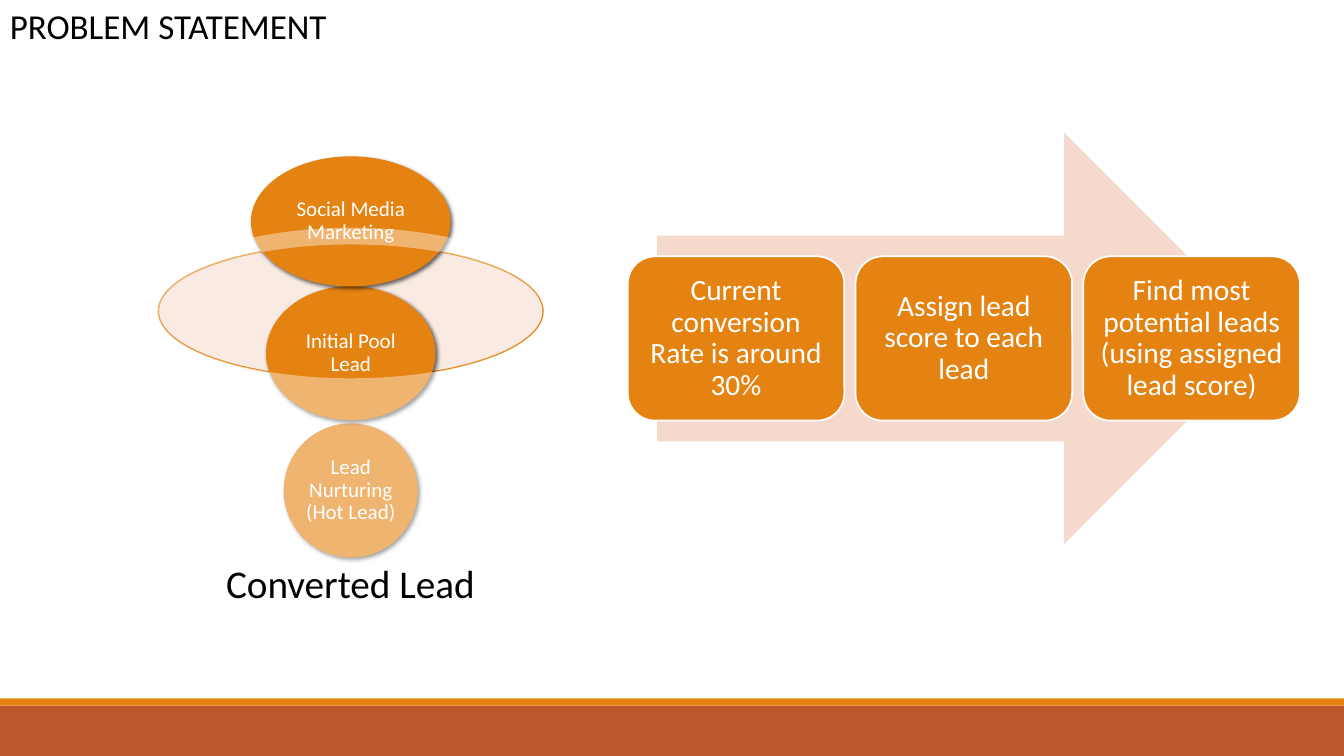
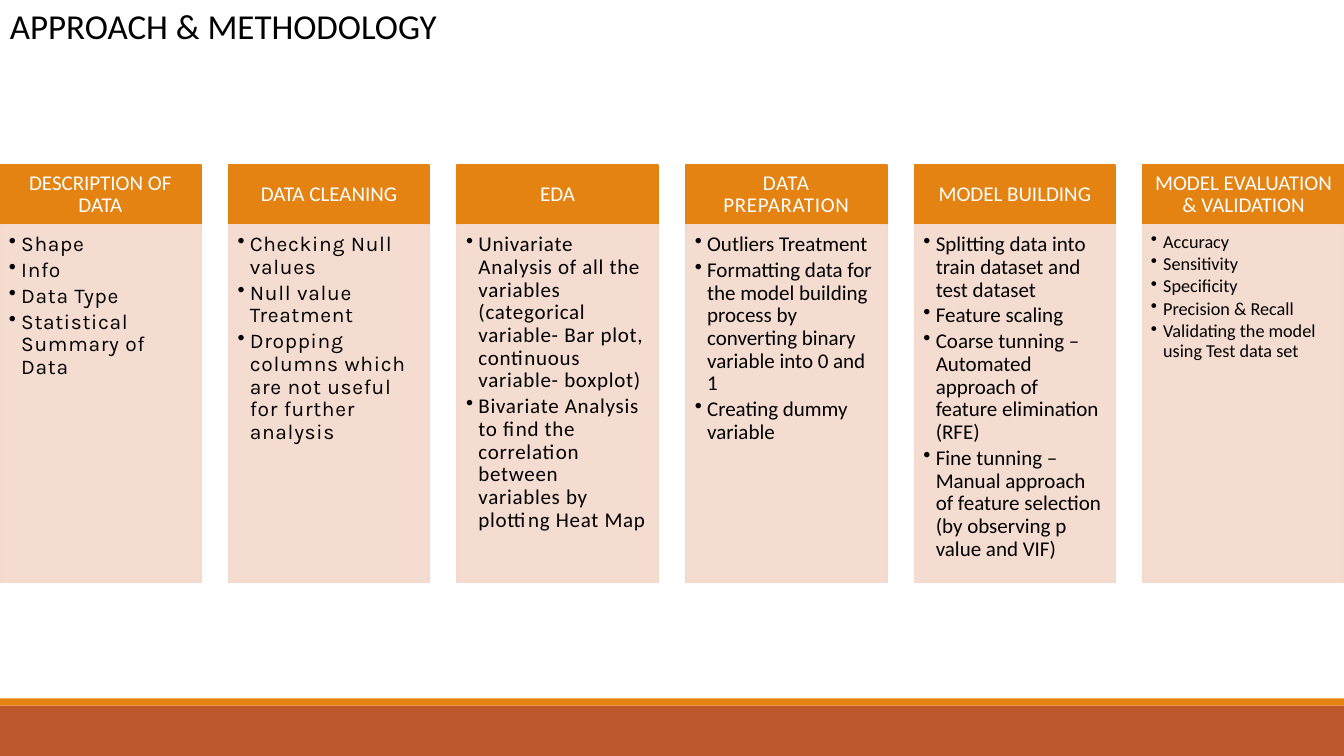
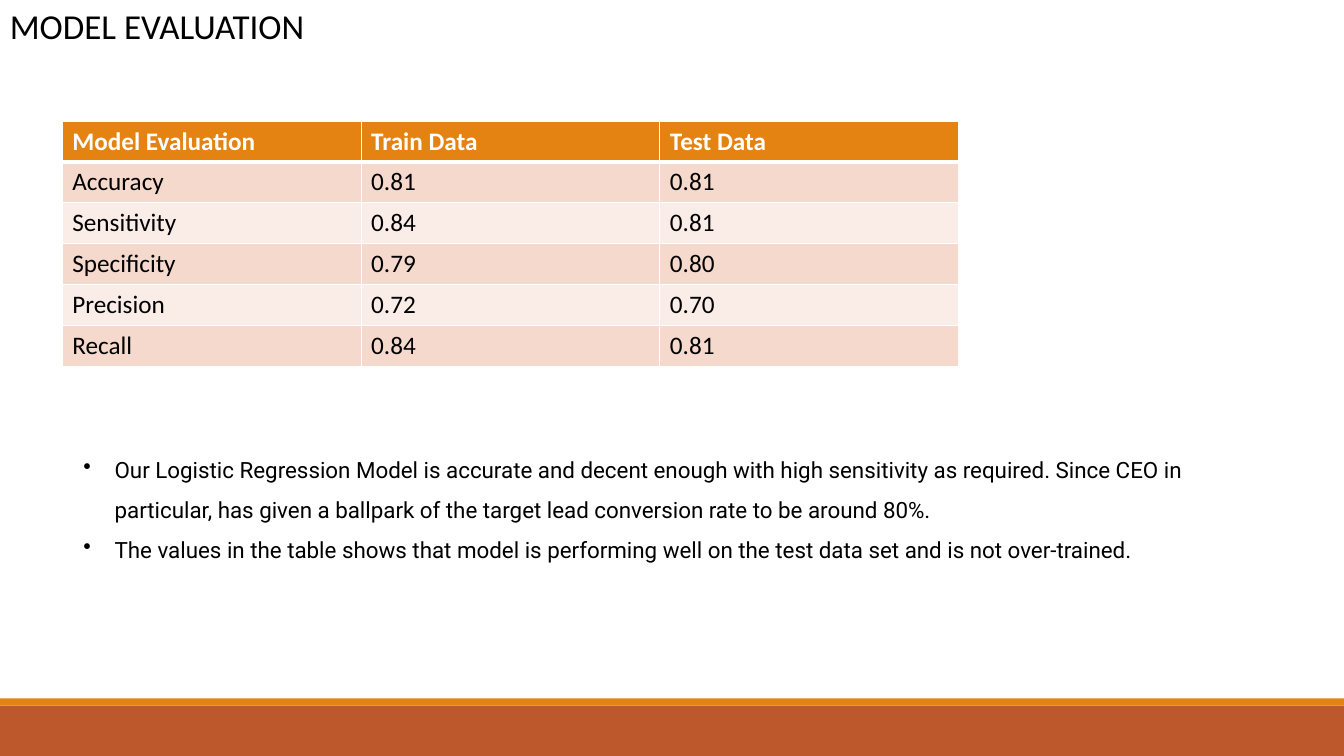
from lxml import etree
from pptx import Presentation
from pptx.dml.color import RGBColor
from pptx.enum import shapes, text
from pptx.oxml.ns import qn
from pptx.util import Cm, Pt

ORANGE = RGBColor(0xE4, 0x83, 0x12)
RUST = RGBColor(0xBD, 0x58, 0x2C)
SALMON = RGBColor(0xF2, 0xCD, 0xBD)
PEACH = RGBColor(0xF5, 0xD9, 0xCC)
PALE_PEACH = RGBColor(0xFA, 0xED, 0xE7)
WHITE = RGBColor(0xFF, 0xFF, 0xFF)
BLACK = RGBColor(0, 0, 0)

KIND = shapes.MSO_SHAPE
CENTER = text.PP_ALIGN.CENTER
MIDDLE = text.MSO_ANCHOR.MIDDLE
TOP = text.MSO_ANCHOR.TOP

PAGE_WIDTH = 33.87
PAGE_HEIGHT = 19.05


def add_block(page, kind, place, fill, line=None, line_width=1.25, opacity=100, shadow=False):
    """Add a preset shape; place is left, top, width, height in centimetres."""
    block = page.shapes.add_shape(kind, *map(Cm, place))
    block.fill.solid()
    block.fill.fore_color.rgb = fill
    block.shadow.inherit = False
    properties = block.element.spPr
    if opacity < 100:
        color = properties.find(qn("a:solidFill")).find(qn("a:srgbClr"))
        etree.SubElement(color, qn("a:alpha"), val=str(opacity * 1000))
    if shadow:
        outer = etree.SubElement(properties.find(qn("a:effectLst")), qn("a:outerShdw"),
                                 blurRad=str(Pt(3)), dist=str(Pt(2)), dir="2700000")
        color = etree.SubElement(outer, qn("a:srgbClr"), val=str(BLACK))
        etree.SubElement(color, qn("a:alpha"), val="60000")
    if line is None:
        block.line.fill.background()
    else:
        block.line.color.rgb = line
        block.line.width = Pt(line_width)
    return block


def write(frame, lines, font, color=BLACK, margins=None, layout=None, anchor=TOP,
          indent=0, tracking=0):
    """Fill a text frame, one paragraph a line; an indent in centimetres adds bullets."""
    frame.word_wrap = True
    frame.vertical_anchor = anchor
    if margins:
        for side, margin in zip(("left", "top", "right", "bottom"), margins):
            setattr(frame, f"margin_{side}", Cm(margin))
    for number, line in enumerate(lines):
        para = frame.add_paragraph() if number else frame.paragraphs[0]
        for name, value in (layout or {}).items():
            setattr(para, name, value)
        if indent:
            settings = para._p.get_or_add_pPr()
            settings.set("marL", str(Cm(indent)))
            settings.set("indent", str(-Cm(indent)))
            etree.SubElement(settings, qn("a:buChar"), char="•")
        span = para.add_run()
        span.text = line
        for name, value in font.items():
            setattr(span.font, name, value)
        span.font.color.rgb = color
        if tracking:
            span._r.get_or_add_rPr().set("spc", str(round(tracking * 100)))


deck = Presentation()
deck.slide_width = Cm(PAGE_WIDTH)
deck.slide_height = Cm(PAGE_HEIGHT)

# Title and footer bands on every slide
pages = []
for title, width in (("PROBLEM STATEMENT", 8.59),
                     ("APPROACH & METHODOLOGY", 11.38),
                     ("MODEL EVALUATION", 8)):
    page = deck.slides.add_slide(deck.slide_layouts[6])
    add_block(page, KIND.RECTANGLE, (0, 17.78, PAGE_WIDTH, 1.27), RUST)
    add_block(page, KIND.RECTANGLE, (0, 17.6, PAGE_WIDTH, 0.18), ORANGE)
    box = page.shapes.add_textbox(0, 0, Cm(width), Cm(1.32))
    write(box.text_frame, [title], {"size": Pt(25), "name": "Calibri"})
    box.text_frame.word_wrap = False
    box.text_frame.auto_size = text.MSO_AUTO_SIZE.SHAPE_TO_FIT_TEXT
    pages.append(page)
problem_page, approach_page, evaluation_page = pages

# Problem statement: lead funnel
centered = {"alignment": CENTER, "line_spacing": 0.9}
add_block(problem_page, KIND.OVAL, (3.99, 6.15, 9.7, 3.38), SALMON, ORANGE, 1, opacity=40)

box = problem_page.shapes.add_textbox(Cm(4.32), Cm(13.64), Cm(9.02), Cm(2.26))
write(box.text_frame, ["Converted Lead"], {"size": Pt(28), "name": "Calibri"},
      margins=[0.56] * 4, layout=centered, anchor=MIDDLE)

funnel_middle = 8.84
for label, top, width, height in (("Lead Nurturing (Hot Lead)", 10.67, 3.38, 3.38),
                                  ("Initial Pool Lead", 7.21, 4.27, 3.38),
                                  ("Social Media Marketing", 3.94, 5.03, 3.28)):
    stage = add_block(problem_page, KIND.OVAL, (funnel_middle - width / 2, top, width, height),
                      ORANGE, shadow=True)
    write(stage.text_frame, [label], {"size": Pt(15), "name": "Calibri"}, WHITE,
          margins=[0.05] * 4, layout=centered, anchor=MIDDLE)
add_block(problem_page, KIND.FUNNEL, (3.58, 5.74, 10.54, 8.43), WHITE, opacity=40)

# Problem statement: steps on an arrow
add_block(problem_page, KIND.RIGHT_ARROW, (16.56, 3.35, 15.44, 10.36), PEACH)
for number, step in enumerate(("Current conversion Rate is around 30%",
                               "Assign lead score to each lead",
                               "Find most potential leads (using assigned lead score)")):
    card = add_block(problem_page, KIND.ROUNDED_RECTANGLE,
                     (15.82 + number * 5.74, 6.46, 5.46, 4.14), ORANGE, WHITE)
    write(card.text_frame, [step], {"size": Pt(21), "name": "Calibri"}, WHITE,
          margins=[0.22] * 4, layout=centered, anchor=MIDDLE)

# Approach: heading, heading tracking, face, size, tracking, points
columns = (
    ("DESCRIPTION OF DATA", 0, "Karla", 15, 0.5,
     ["Shape", "Info", "Data Type", "Statistical Summary of Data"]),
    ("DATA CLEANING", 0, "Karla", 15, 0.5,
     ["Checking Null values", "Null value Treatment",
      "Dropping columns which are not useful for further analysis"]),
    ("EDA", 0, "Calibri", 15, 0.5,
     ["Univariate Analysis of all the variables (categorical variable- Bar plot, "
      "continuous variable- boxplot)",
      "Bivariate Analysis to find the correlation between variables by plotting Heat Map"]),
    ("DATA PREPARATION", 0.5, "Calibri", 15, 0,
     ["Outliers Treatment",
      "Formatting data for the model building process by converting binary variable "
      "into 0 and 1",
      "Creating dummy variable"]),
    ("MODEL BUILDING", 0, "Calibri", 15, 0,
     ["Splitting data into train dataset and test dataset", "Feature scaling",
      "Coarse tunning – Automated approach of feature elimination (RFE)",
      "Fine tunning – Manual approach of feature selection (by observing p value and VIF)"]),
    ("MODEL EVALUATION & VALIDATION", 0, "Calibri", 13, 0,
     ["Accuracy", "Sensitivity", "Specificity", "Precision & Recall",
      "Validating the model using Test data set"]),
)
column_width = 5.06
column_step = (PAGE_WIDTH - column_width) / (len(columns) - 1)
for number, (heading, heading_tracking, face, size, tracking, points) in enumerate(columns):
    left = number * column_step
    header = add_block(approach_page, KIND.RECTANGLE, (left, 4.16, column_width, 1.5),
                       ORANGE, ORANGE)
    write(header.text_frame, [heading], {"size": Pt(15), "name": "Calibri"}, WHITE,
          margins=(0.3, 0.17, 0.3, 0.17), layout=centered, anchor=MIDDLE,
          tracking=heading_tracking)
    body = add_block(approach_page, KIND.RECTANGLE, (left, 5.66, column_width, 9.02),
                     PEACH, PEACH, opacity=90)
    write(body.text_frame, points, {"size": Pt(size), "name": face},
          margins=[size * share for share in (0.015, 0.015, 0.02, 0.022)],
          layout={"alignment": text.PP_ALIGN.LEFT, "line_spacing": 0.9,
                  "space_after": Pt(size * 0.15)},
          indent=0.31, tracking=tracking)

# Model evaluation: scores
scores = (
    ("Model Evaluation", "Train Data", "Test Data"),
    ("Accuracy", "0.81", "0.81"),
    ("Sensitivity", "0.84", "0.81"),
    ("Specificity", "0.79", "0.80"),
    ("Precision", "0.72", "0.70"),
    ("Recall", "0.84", "0.81"),
)
table = evaluation_page.shapes.add_table(len(scores), len(scores[0]), Cm(1.57), Cm(3.05),
                                         Cm(22.59), Cm(6.18)).table
for row_number, row in enumerate(scores):
    is_header = row_number == 0
    fill = ORANGE if is_header else (PALE_PEACH, PEACH)[row_number % 2]
    table.rows[row_number].height = Cm(1.03)
    for column_number, value in enumerate(row):
        cell = table.cell(row_number, column_number)
        for side in "LRTB":
            thick = (is_header and side == "B") or (row_number == 1 and side == "T")
            border = etree.SubElement(cell._tc.get_or_add_tcPr(), qn(f"a:ln{side}"),
                                      w=str(Pt(3 if thick else 1)))
            paint = etree.SubElement(border, qn("a:solidFill"))
            etree.SubElement(paint, qn("a:srgbClr"), val=str(WHITE))
        cell.fill.solid()
        cell.fill.fore_color.rgb = fill
        write(cell.text_frame, [value], {"size": Pt(18), "name": "Calibri", "bold": is_header},
              WHITE if is_header else BLACK)

# Model evaluation: findings
box = evaluation_page.shapes.add_textbox(Cm(1.85), Cm(11.02), Cm(28.6), Cm(3.2))
write(box.text_frame,
      ["Our Logistic Regression Model is accurate and decent enough with high sensitivity as "
       "required. Since CEO in particular, has given a ballpark of the target lead conversion "
       "rate to be around 80%.",
       "The values in the table shows that model is performing well on the test data set and "
       "is not over-trained."],
      {"size": Pt(16), "name": "Roboto"}, layout={"line_spacing": 1.5}, indent=0.79)

deck.save("out.pptx")
